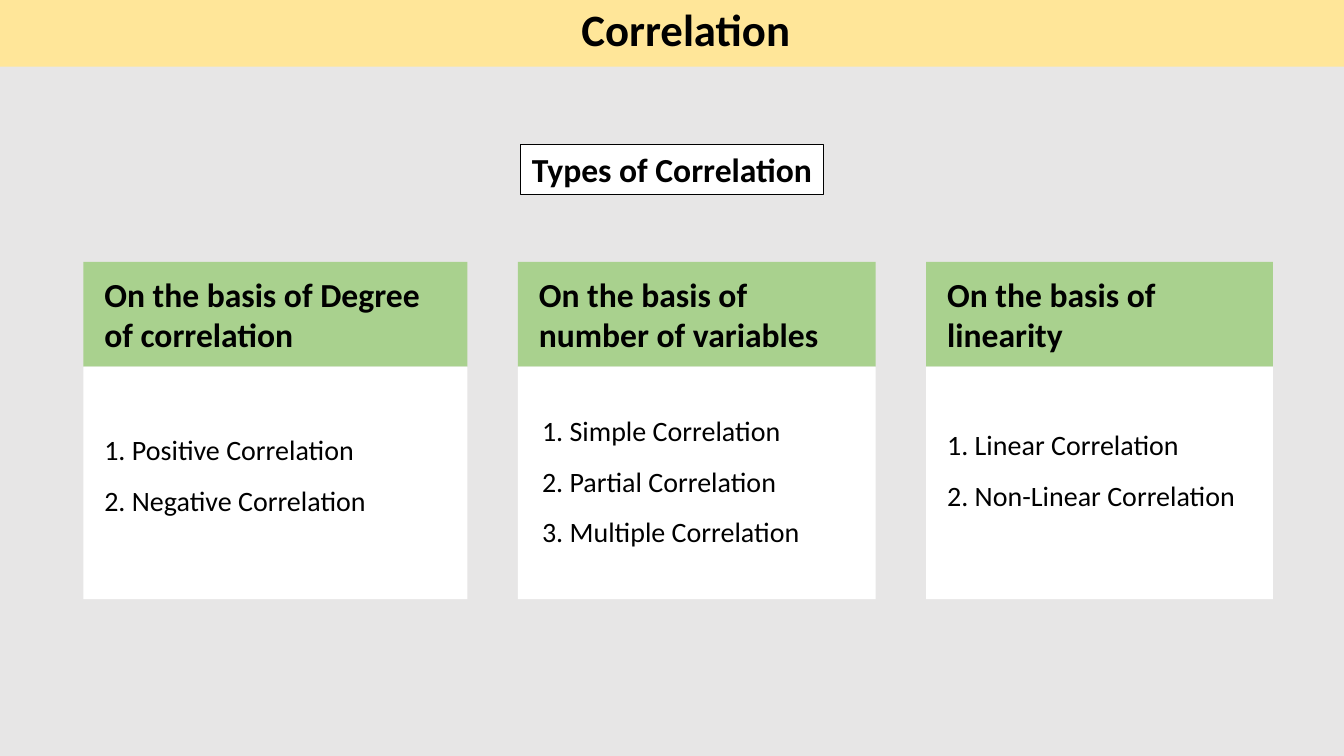
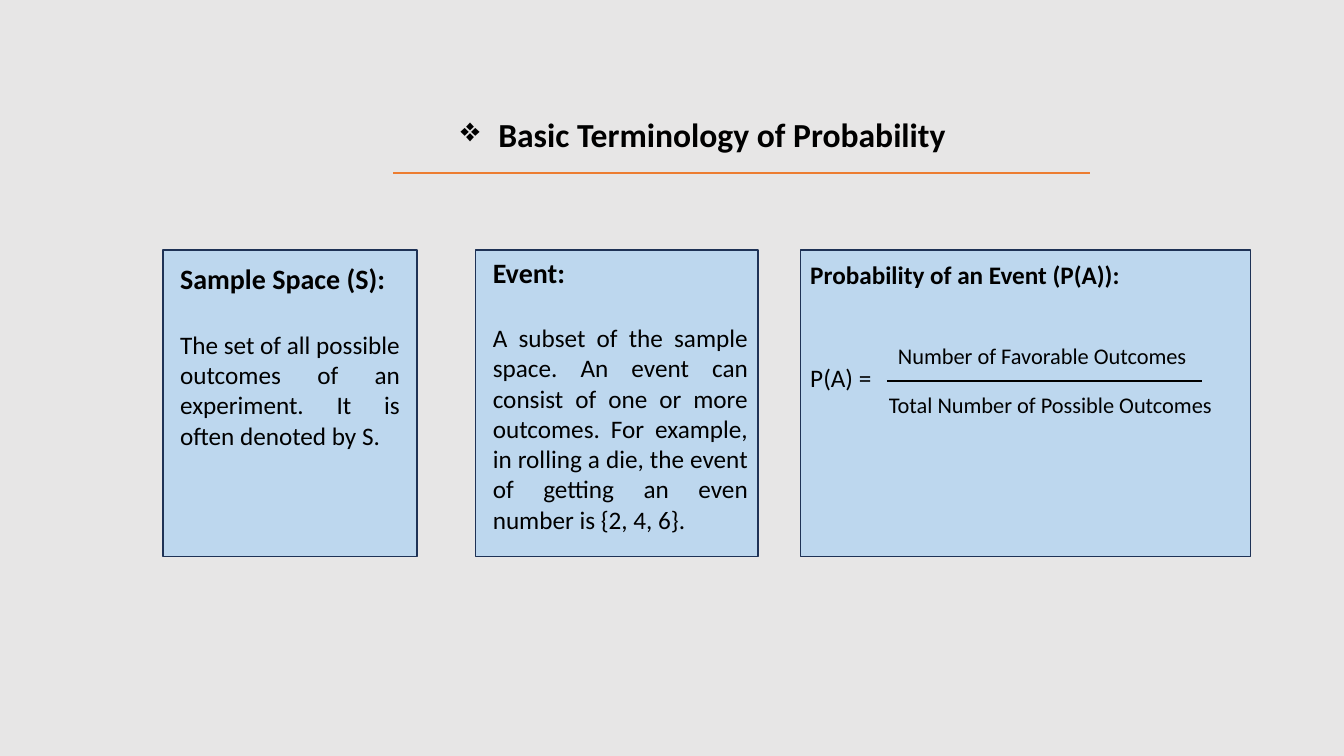
from dataclasses import dataclass

from lxml import etree
from pptx import Presentation
from pptx.dml.color import RGBColor
from pptx.enum.shapes import MSO_CONNECTOR, MSO_SHAPE
from pptx.enum.text import MSO_ANCHOR, PP_ALIGN
from pptx.oxml.ns import qn
from pptx.util import Cm, Pt

RECTANGLE = MSO_SHAPE.RECTANGLE
STRAIGHT = MSO_CONNECTOR.STRAIGHT
TOP, MIDDLE = MSO_ANCHOR.TOP, MSO_ANCHOR.MIDDLE
LEFT, CENTER, JUSTIFY = PP_ALIGN.LEFT, PP_ALIGN.CENTER, PP_ALIGN.JUSTIFY


@dataclass(frozen=True)
class Theme:
    font: str = "Calibri"
    background: str = "E7E6E6"
    ink: str = "000000"
    white: str = "FFFFFF"
    band: str = "FFE699"
    header: str = "A9D18E"
    card: str = "BDD7EE"
    card_edge: str = "1E3256"
    accent: str = "ED7D31"
    title: int = 32
    heading: int = 24
    subheading: int = 20
    body: int = 18
    small: int = 16


@dataclass(frozen=True)
class Box:
    """A region in centimetres."""
    left: float
    top: float
    width: float
    height: float

    def lengths(self):
        return Cm(self.left), Cm(self.top), Cm(self.width), Cm(self.height)


THEME = Theme()
SLIDE = Box(0, 0, 33.87, 19.05)
INSETS = (0.25, 0.13, 0.25, 0.13)  # left, top, right, bottom


# Shared parts

def color(value):
    return RGBColor.from_string(value)


def set_frame(shape, insets=INSETS, anchor=TOP):
    frame = shape.text_frame
    frame.word_wrap = True
    frame.vertical_anchor = anchor
    (frame.margin_left, frame.margin_top,
     frame.margin_right, frame.margin_bottom) = map(Cm, insets)
    return shape


def add_panel(slide, box, fill, edge=None, edge_width=1, insets=INSETS, anchor=TOP):
    panel = slide.shapes.add_shape(RECTANGLE, *box.lengths())
    panel.shadow.inherit = False
    panel.fill.solid()
    panel.fill.fore_color.rgb = color(fill)
    if edge:
        panel.line.color.rgb = color(edge)
        panel.line.width = Pt(edge_width)
    else:
        panel.line.fill.background()
    return set_frame(panel, insets, anchor)


def write(shape, text, size, bold=False, align=LEFT, before=0, spacing=1.0):
    """Fill the first paragraph if it is empty, otherwise add another."""
    frame = shape.text_frame
    paragraph = frame.paragraphs[-1]
    if paragraph.runs:
        paragraph = frame.add_paragraph()
    paragraph.alignment = align
    paragraph.space_before = Pt(before)
    paragraph.line_spacing = spacing
    run = paragraph.add_run()
    run.text = text
    run.font.name = THEME.font
    run.font.size = Pt(size)
    run.font.bold = bold
    run.font.color.rgb = color(THEME.ink)
    return paragraph


def add_label(slide, box, text, size, bold=False):
    label = set_frame(slide.shapes.add_textbox(*box.lengths()))
    return write(label, text, size, bold)


def add_rule(slide, left, top, width, stroke):
    rule = slide.shapes.add_connector(
        STRAIGHT, Cm(left), Cm(top), Cm(left + width), Cm(top))
    rule.line.color.rgb = color(stroke)
    rule.line.width = Pt(1.5)
    etree.SubElement(rule._element.spPr, qn("a:effectLst"))


def add_bullet(paragraph, symbol, indent):
    properties = paragraph._p.get_or_add_pPr()
    properties.set("marL", str(Cm(indent)))
    properties.set("indent", str(-Cm(indent)))
    etree.SubElement(properties, qn("a:buChar")).set("char", symbol)


# Correlation slide

def title_band(slide, box, text):
    band = add_panel(slide, box, THEME.band, insets=(0.7, 0, 0, 0.25), anchor=MIDDLE)
    write(band, text, THEME.title, True, CENTER)


def topic_box(slide, box, text):
    topic = add_panel(slide, box, THEME.white, THEME.ink, 0.75, (0, 0, 0, 0), MIDDLE)
    write(topic, text, THEME.heading, True, CENTER)


def type_column(slide, box, heading, items, list_left, list_top):
    header_height = 2.64
    header = Box(box.left, box.top, box.width, header_height)
    body = Box(box.left, box.top + header_height, box.width, box.height - header_height)
    header_panel = add_panel(slide, header, THEME.header, insets=(0.53, 0.3, 0.9, 0))
    write(header_panel, heading, THEME.heading, True)
    body_panel = add_panel(slide, body, THEME.white, insets=(list_left, list_top, 0, 0))
    for item in items:
        write(body_panel, item, THEME.subheading, spacing=1.5)


def correlation_slide(slide):
    title_band(slide, Box(0, 0, SLIDE.width, 1.68), "Correlation")
    topic_width = 7.65
    topic_box(slide, Box((SLIDE.width - topic_width) / 2, 3.63, topic_width, 1.27),
              "Types of Correlation")

    # Width, heading, list items, list insets from left and top
    columns = (
        (9.68, "On the basis of Degree of correlation",
         ("1. Positive Correlation", "2. Negative Correlation"), 0.53, 1.24),
        (9.02, "On the basis of number of variables",
         ("1. Simple Correlation", "2. Partial Correlation",
          "3. Multiple Correlation"), 0.61, 0.76),
        (8.74, "On the basis of linearity",
         ("1. Linear Correlation", "2. Non-Linear Correlation"), 0.53, 1.12),
    )
    left, gap = 2.1, 1.27
    for width, *content in columns:
        type_column(slide, Box(left, 6.6, width, 8.5), *content)
        left += width + gap


# Probability slide

def section_title(slide, box, text):
    label = Box(box.left + 1.45, box.top, box.width - 1.45, box.height)
    add_bullet(add_label(slide, label, text, THEME.heading, True), "❖", 0.95)
    add_rule(slide, box.left, box.top + box.height, box.width, THEME.accent)


def term_card(slide, box, term, size, insets, definition=None):
    card = add_panel(slide, box, THEME.card, THEME.card_edge, insets=insets)
    write(card, term, size, True, JUSTIFY if definition else LEFT)
    if definition:
        write(card, definition, THEME.body, align=JUSTIFY, before=24)


def probability_formula(slide, box):
    bar_left, bar_top = box.left + 2.18, box.top + 0.6
    add_label(slide, Box(box.left, box.top, 2.4, 1), "P(A) =", THEME.body)
    add_label(slide, Box(bar_left + 0.03, bar_top - 1.12, 8.6, 0.95),
              "Number of Favorable Outcomes", THEME.small)
    add_label(slide, Box(bar_left - 0.2, bar_top + 0.13, 9.2, 0.95),
              "Total Number of Possible Outcomes", THEME.small)
    add_rule(slide, bar_left, bar_top, 7.95, THEME.ink)


def probability_slide(slide):
    section_title(slide, Box(9.91, 2.74, 17.55, 1.63), "Basic Terminology of Probability")

    # Left, width, term, term size, insets, definition
    cards = (
        (4.11, 6.4, "Sample Space (S):", THEME.subheading, (0.43, 0.3, 0.43, 0),
         "The set of all possible outcomes of an experiment. "
         "It is often denoted by S."),
        (11.99, 7.11, "Event:", THEME.subheading, (0.43, 0.13, 0.25, 0),
         "A subset of the sample space. An event can consist of one or more "
         "outcomes. For example, in rolling a die, the event of getting an "
         "even number is {2, 4, 6}."),
        (20.17, 11.35, "Probability of an Event (P(A)):", THEME.body,
         (0.25, 0.23, 0.25, 0), None),
    )
    top, height = 6.3, 7.72
    for left, width, *content in cards:
        term_card(slide, Box(left, top, width, height), *content)
    probability_formula(slide, Box(left, top + 2.7, width, 2))


def main():
    deck = Presentation()
    deck.slide_width, deck.slide_height = Cm(SLIDE.width), Cm(SLIDE.height)
    backdrop = deck.slide_master.background.fill
    backdrop.solid()
    backdrop.fore_color.rgb = color(THEME.background)
    blank = deck.slide_layouts[6]
    for build in (correlation_slide, probability_slide):
        build(deck.slides.add_slide(blank))
    deck.save("out.pptx")


if __name__ == "__main__":
    main()
